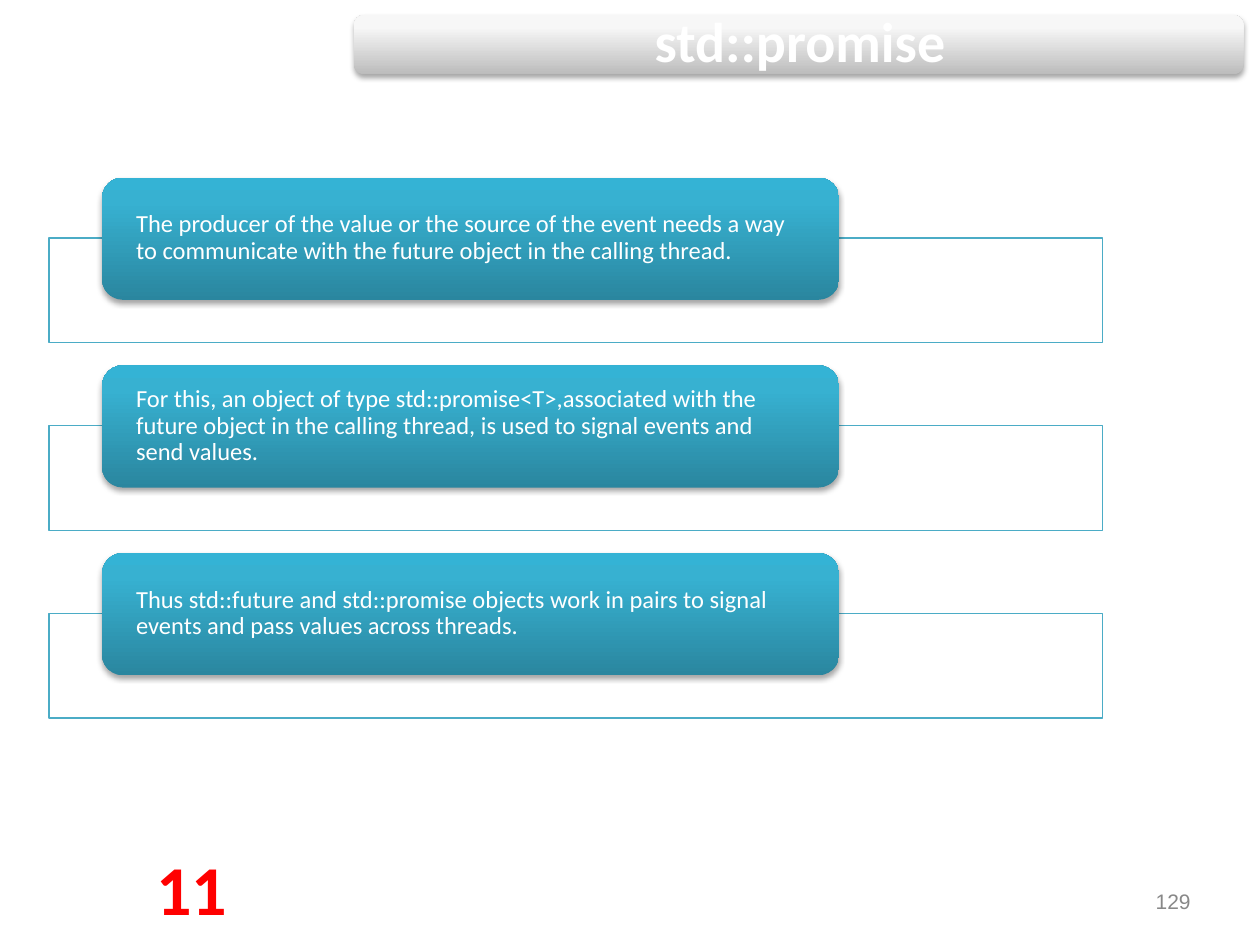
from lxml import etree
from pptx import Presentation
from pptx import util as u
from pptx.dml.color import RGBColor
from pptx.enum import shapes, text
from pptx.oxml import parse_xml
from pptx.oxml.ns import qn

PX = 9144
STEP = 149
HUES = {"white": "FFFFFF", "line": "4BACC6", "red": "FF0000", "gray": "888888", "black": "000000"}
BLUE = ("2A869F", "37B1D1", "34B3D5")
SILVER = ("BCBCBC", "F7F7F7", "F8F8F8")
NS = 'xmlns:a="http://schemas.openxmlformats.org/drawingml/2006/main"'
NOTES = [
    ("The producer of the value or the source of the event needs a way to communicate "
     "with the future object in the calling thread.", 44),
    ("For this, an object of type std::promise<T>,associated with the future object in "
     "the calling thread, is used to signal events and send values.", 67),
    ("Thus std::future and std::promise objects work in pairs to signal events and pass "
     "values across threads.", 44),
]


def place(shape, box):
    """Set the position and size of a shape from px."""
    shape.left, shape.top, shape.width, shape.height = (n * PX for n in box)


def style(shape, words, size, hue, font="Calibri", bold=False, inset=0, align="LEFT",
          anchor="MIDDLE", wrap=True, space=None):
    """Write one paragraph and format its frame and run."""
    frame = shape.text_frame
    frame.text = words
    frame.word_wrap = wrap
    frame.auto_size = text.MSO_AUTO_SIZE.NONE
    frame.vertical_anchor = getattr(text.MSO_ANCHOR, anchor)
    frame.margin_left = frame.margin_right = inset * PX
    frame.margin_top = frame.margin_bottom = inset * PX
    para = frame.paragraphs[0]
    para.alignment = getattr(text.PP_ALIGN, align)
    para.line_spacing = space
    face = para.runs[0].font
    face.name, face.size, face.bold = font, u.Pt(size), bold
    face.color.rgb = RGBColor.from_string(HUES[hue])


def label(slide, box, words, size, hue, **look):
    """Add a text box."""
    style(slide.shapes.add_textbox(*(n * PX for n in box)), words, size, hue, **look)


def frame(slide, box):
    """Add an outlined, nearly opaque white panel."""
    panel = slide.shapes.add_shape(shapes.MSO_SHAPE.RECTANGLE, *(n * PX for n in box))
    panel.shadow.inherit = False
    panel.fill.solid()
    panel.fill.fore_color.rgb = RGBColor.from_string(HUES["white"])
    tint = panel.element.spPr.find(qn("a:solidFill"))[0]
    etree.SubElement(tint, qn("a:alpha"), val="90000")
    panel.line.color.rgb = RGBColor.from_string(HUES["line"])
    panel.line.width = u.Pt(0.75)


def bar(slide, box, ramp):
    """Add a rounded bar with a gradient and a soft shadow."""
    card = slide.shapes.add_shape(shapes.MSO_SHAPE.ROUNDED_RECTANGLE, *(n * PX for n in box))
    card.adjustments[0] = 0.17
    card.line.fill.background()
    card.shadow.inherit = False
    stops = "".join(f'<a:gs pos="{at}"><a:srgbClr val="{hue}"/></a:gs>'
                    for at, hue in zip((0, 80000, 100000), ramp))
    props = card.element.spPr
    props.find(qn("a:prstGeom")).addnext(parse_xml(
        f'<a:gradFill {NS} rotWithShape="1"><a:gsLst>{stops}</a:gsLst>'
        '<a:lin ang="16200000" scaled="0"/></a:gradFill>'))
    props.find(qn("a:effectLst")).append(parse_xml(
        f'<a:outerShdw {NS} blurRad="{u.Pt(3)}" dist="{u.Pt(1.8)}" dir="5400000" '
        f'rotWithShape="0"><a:srgbClr val="{HUES["black"]}"><a:alpha val="35000"/>'
        '</a:srgbClr></a:outerShdw>'))


def head(slide, words):
    """Add the title bar and bring the title in front of it."""
    bar(slide, (281, 12, 706, 47), SILVER)
    title = slide.shapes.title
    place(title, (284, 0, 702, 71))
    style(title, words, 32, "white", bold=True, inset=13, align="CENTER", space=0.9)
    slide.shapes.element.append(title.element)


def main():
    """Build and save the slide."""
    deck = Presentation()
    deck.slide_width, deck.slide_height = 1000 * PX, 750 * PX
    slide = deck.slides.add_slide(deck.slide_layouts[5])
    for row, (words, high) in enumerate(NOTES):
        top = 141 + row * STEP
        frame(slide, (39, top + 48, 836, 83))
        bar(slide, (81, top, 585, 97), BLUE)
        label(slide, (108, top + 48 - high // 2, 531, high), words, 14, "white", space=0.9)
    head(slide, "std::promise")
    label(slide, (913, 702, 37, 27), "129", 12, "gray", font="Arial", inset=5,
          align="RIGHT", wrap=False)
    label(slide, (118, 666, 68, 66), "11", 40, "red", bold=True, inset=5,
          align="CENTER", anchor="TOP")
    deck.save("out.pptx")


if __name__ == "__main__":
    main()
